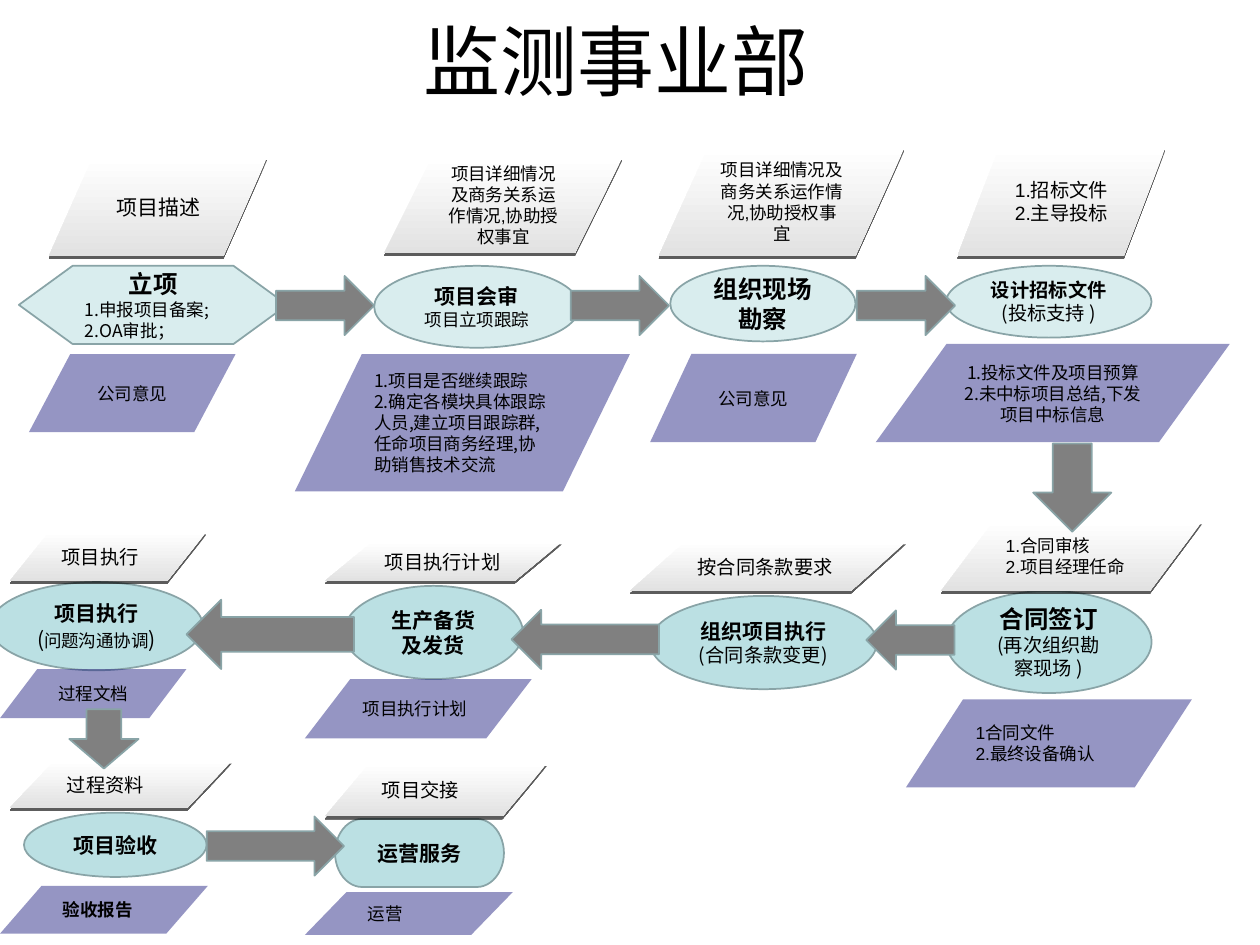
import pptx
import pptx.dml.color
import pptx.enum.shapes
import pptx.enum.text
import pptx.oxml
import pptx.oxml.ns
import pptx.util

Inches = pptx.util.Inches
Pt = pptx.util.Pt
SHAPE = pptx.enum.shapes.MSO_SHAPE
CENTER = pptx.enum.text.PP_ALIGN.CENTER
LEFT = pptx.enum.text.PP_ALIGN.LEFT
MIDDLE = pptx.enum.text.MSO_ANCHOR.MIDDLE

ARIAL, NOTO = "Arial", "Noto Sans CJK SC"
BLACK, EDGE, GREY = "000000", "89A4A7", "808080"
PALE, TEAL, NAVY = "D9EDEE", "BBE0E3", "2D2D89"
NS = 'xmlns:a="http://schemas.openxmlformats.org/drawingml/2006/main"'

# Steps: preset, box, fill, heading (text, size, font),
# then detail lines, each a list of runs (text, size), and their alignment.
STEPS = [
    (SHAPE.FLOWCHART_PREPARATION, (0.15, 2.11, 2.13, 0.62), PALE, ("立项", 14, ARIAL),
     [[("1.申报项目备案;", 10)], [("2.OA审批；", 10)]], LEFT),
    (SHAPE.OVAL, (2.97, 2.11, 1.63, 0.65), PALE, ("项目会审", 12, NOTO),
     [[("项目立项跟踪", 10)]], CENTER),
    (SHAPE.OVAL, (5.32, 2.11, 1.47, 0.6), PALE, ("组织现场勘察", 14, ARIAL), [], CENTER),
    (SHAPE.OVAL, (7.51, 2.11, 1.63, 0.57), PALE, ("设计招标文件", 11, ARIAL),
     [[("(投标支持 )", 11)]], CENTER),
    (SHAPE.OVAL, (7.51, 4.69, 1.63, 0.81), TEAL, ("合同签订", 14, ARIAL),
     [[("(再次组织勘察现场 )", 11)]], CENTER),
    (SHAPE.OVAL, (5.16, 4.73, 1.8, 0.74), TEAL, ("组织项目执行", 12, NOTO),
     [[("(合同条款变更)", 11)]], CENTER),
    (SHAPE.OVAL, (2.73, 4.65, 1.42, 0.74), TEAL, ("生产备货及发货", 12, ARIAL), [], CENTER),
    (SHAPE.OVAL, (-0.08, 4.62, 1.69, 0.7), TEAL, ("项目执行", 12, ARIAL),
     [[("(", 12), ("问题沟通协调", 10), (")", 12)]], CENTER),
    (SHAPE.OVAL, (0.19, 6.45, 1.45, 0.51), TEAL, ("项目验收", 12, ARIAL), [], CENTER),
    (SHAPE.FLOWCHART_TERMINATOR, (2.66, 6.5, 1.34, 0.54), TEAL, ("运营服务", 12, ARIAL),
     [], CENTER),
]

REVIEW = "项目详细情况及商务关系运作情况,协助授权事宜"

# Inputs above the steps: box, lines, size, alignment
INPUTS = [
    ((0.39, 1.25, 1.73, 0.78), ["项目描述"], 12, CENTER),
    ((3.05, 1.25, 1.89, 0.76), [REVIEW], 10, CENTER),
    ((5.23, 1.17, 1.95, 0.86), [REVIEW], 10, CENTER),
    ((7.6, 1.17, 1.65, 0.86), ["1.招标文件", "2.主导投标"], 11, CENTER),
    ((7.47, 4.14, 2.07, 0.55), ["1.合同审核", "2.项目经理任命"], 10, LEFT),
    ((5, 4.3, 2.19, 0.39), ["按合同条款要求"], 11, LEFT),
    ((2.58, 4.3, 1.88, 0.31), ["项目执行计划"], 11, LEFT),
    ((0.08, 4.22, 1.56, 0.39), ["项目执行"], 11, LEFT),
    ((0.08, 6.04, 1.76, 0.37), ["过程资料"], 11, LEFT),
    ((2.58, 6.06, 1.76, 0.42), ["项目交接"], 11, LEFT),
]

# Outputs below the steps: box, lines, font, alignment, left indent, bold
OUTPUTS = [
    ((0.23, 2.81, 1.64, 0.62), ["公司意见"], ARIAL, CENTER, 0, False),
    ((2.34, 2.81, 2.66, 1.09),
     ["1.项目是否继续跟踪",
      "2.确定各模块具体跟踪人员,建立项目跟踪群,任命项目商务经理,协助销售技术交流"],
     NOTO, LEFT, 0, False),
    ((5.16, 2.81, 1.64, 0.7), ["公司意见"], ARIAL, CENTER, 0, False),
    ((6.95, 2.73, 2.81, 0.78),
     ["1.投标文件及项目预算", "2.未中标项目总结,下发项目中标信息"],
     NOTO, CENTER, 0, False),
    ((7.19, 5.55, 2.27, 0.7), ["1合同文件", "2.最终设备确认"], ARIAL, LEFT, 0, False),
    ((2.42, 5.39, 1.8, 0.47), ["项目执行计划"], ARIAL, LEFT, 0, False),
    ((0, 5.31, 1.48, 0.39), ["过程文档"], ARIAL, LEFT, 0.07, False),
    ((0, 7.03, 1.65, 0.38), ["验收报告"], ARIAL, LEFT, 0.07, True),
    ((2.42, 7.08, 1.65, 0.34), ["运营"], ARIAL, LEFT, 0.07, False),
]

# Arrows: preset, box before rotation, rotation
ARROWS = [
    (SHAPE.RIGHT_ARROW, (2.19, 2.19, 0.78, 0.47), 0),
    (SHAPE.RIGHT_ARROW, (4.53, 2.19, 0.78, 0.47), 0),
    (SHAPE.RIGHT_ARROW, (6.8, 2.19, 0.78, 0.47), 0),
    (SHAPE.DOWN_ARROW, (8.2, 3.52, 0.62, 0.7), 0),
    (SHAPE.DOWN_ARROW, (6.99, 4.73, 0.47, 0.7), 90),
    (SHAPE.DOWN_ARROW, (4.41, 4.49, 0.47, 1.17), 90),
    (SHAPE.DOWN_ARROW, (1.87, 4.37, 0.55, 1.33), 90),
    (SHAPE.DOWN_ARROW, (0.55, 5.63, 0.55, 0.47), 0),
    (SHAPE.RIGHT_ARROW, (1.64, 6.48, 1.09, 0.47), 0),
]


def rgb(color):
    return pptx.dml.color.RGBColor.from_string(color)


def format_run(r, size, font, bold=False):
    r.font.size = Pt(size)
    r.font.bold = bold
    r.font.name = font
    r.font.color.rgb = rgb(BLACK)
    r.font._element.get_or_add_latin().addnext(
        pptx.oxml.parse_xml(f'<a:ea {NS} typeface="{NOTO}"/>'))


def add_shape(slide, preset, box, fill=None, line=None):
    sp = slide.shapes.add_shape(preset, *map(Inches, box))
    sp.shadow.inherit = False
    if fill:
        sp.fill.solid()
        sp.fill.fore_color.rgb = rgb(fill)
    if line:
        sp.line.color.rgb = rgb(line)
        sp.line.width = Pt(1)
    else:
        sp.line.fill.background()
    sp.text_frame.word_wrap = True
    sp.text_frame.vertical_anchor = MIDDLE
    return sp


def set_lines(sp, lines, size, font, align, indent=0, bold=False):
    tf = sp.text_frame
    tf.text = "\n".join(lines)
    for p in tf.paragraphs:
        p.alignment = align
        if indent:
            p._p.get_or_add_pPr().set("marL", str(Inches(indent)))
        for r in p.runs:
            format_run(r, size, font, bold)


def add_step(slide, preset, box, fill, heading, details, align):
    sp = add_shape(slide, preset, box, fill, EDGE)
    text, size, font = heading
    set_lines(sp, [text], size, font, CENTER, bold=True)
    for runs in details:
        p = sp.text_frame.add_paragraph()
        p.alignment = align
        for text, size in runs:
            r = p.add_run()
            r.text = text
            format_run(r, size, NOTO)


def add_input(slide, box, lines, size, align):
    """White-to-grey parallelogram with a hard shadow under it."""
    sp = add_shape(slide, SHAPE.FLOWCHART_DATA, box)
    sp.fill.gradient()
    sp.fill.gradient_angle = 270
    for stop, color in zip(sp.fill.gradient_stops, ("FFFFFF", "E2E2E2")):
        stop.color.rgb = rgb(color)
    for stop, position in zip(sp.fill.gradient_stops, (0, 1)):
        stop.position = position
    effects = sp._element.spPr.find(pptx.oxml.ns.qn("a:effectLst"))
    effects.append(pptx.oxml.parse_xml(
        f'<a:outerShdw {NS} blurRad="0" dist="{Pt(1.5)}" dir="5400000" rotWithShape="0">'
        f'<a:srgbClr val="{BLACK}"><a:alpha val="63000"/></a:srgbClr></a:outerShdw>'))
    set_lines(sp, lines, size, ARIAL, align)


def add_output(slide, box, lines, font, align, indent, bold):
    """Half-transparent navy parallelogram."""
    sp = add_shape(slide, SHAPE.FLOWCHART_DATA, box, NAVY)
    color = sp._element.spPr.find(".//" + pptx.oxml.ns.qn("a:srgbClr"))
    color.append(pptx.oxml.parse_xml(f'<a:alpha {NS} val="50000"/>'))
    set_lines(sp, lines, 10, font, align, indent, bold)


def main():
    prs = pptx.Presentation()
    prs.slide_width, prs.slide_height = Inches(10), Inches(7.5)
    slide = prs.slides.add_slide(prs.slide_layouts[5])
    title = slide.shapes.title
    title.left, title.top, title.width, title.height = map(Inches, (0.39, 0, 9, 0.94))
    title.text_frame.vertical_anchor = MIDDLE
    set_lines(title, ["监测事业部"], 44, ARIAL, CENTER)
    for step in STEPS:
        add_step(slide, *step)
    for item in INPUTS:
        add_input(slide, *item)
    for item in OUTPUTS:
        add_output(slide, *item)
    for preset, box, rotation in ARROWS:
        add_shape(slide, preset, box, GREY, EDGE).rotation = rotation
    prs.save("out.pptx")


if __name__ == "__main__":
    main()
